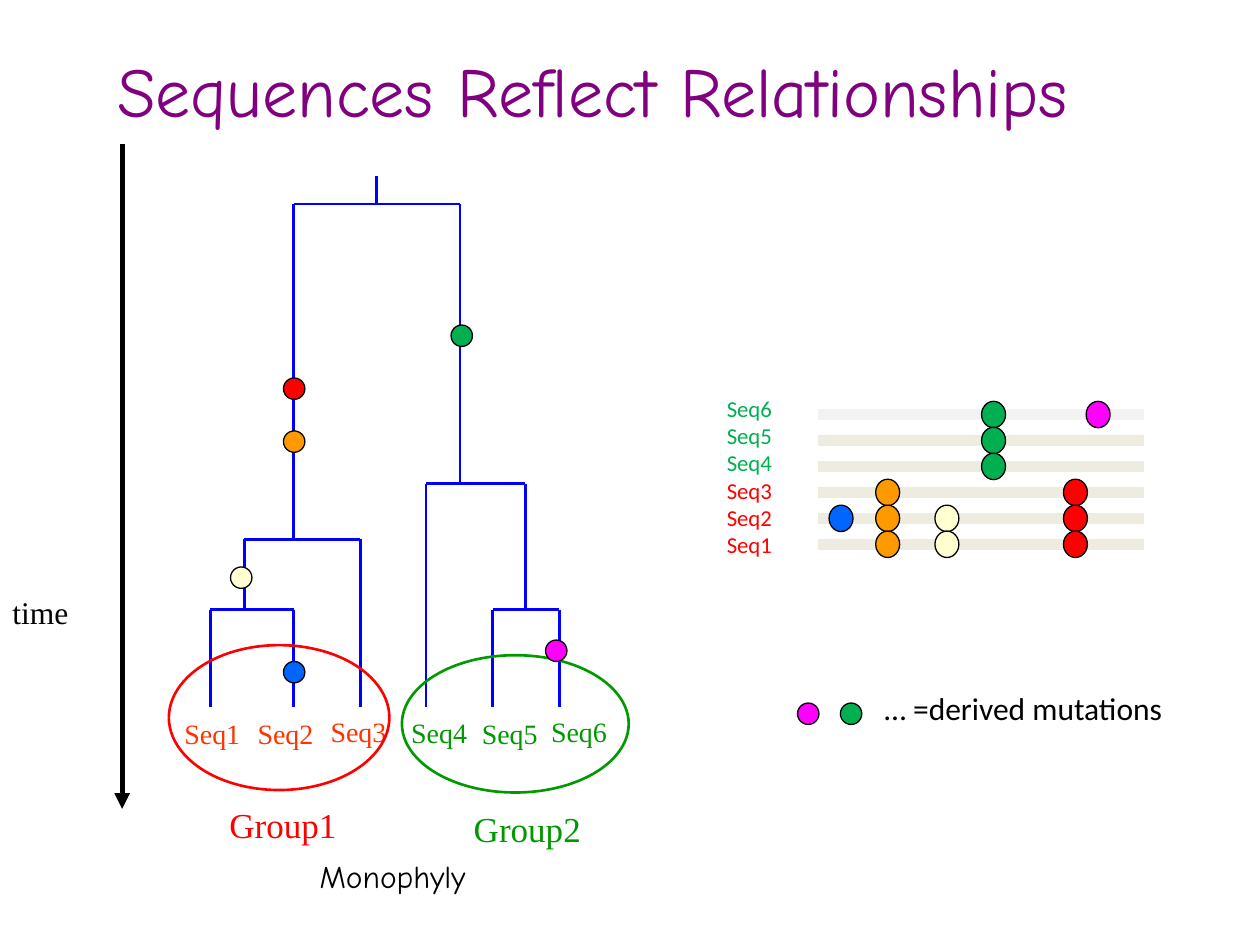
from lxml.etree import SubElement
from pptx import Presentation
from pptx.dml.color import RGBColor
from pptx.enum.shapes import MSO_CONNECTOR, MSO_SHAPE
from pptx.enum.text import MSO_ANCHOR, MSO_AUTO_SIZE, PP_ALIGN
from pptx.oxml.ns import qn
from pptx.util import Inches, Pt

THEME = {
    "color": {
        "title": "800080", "ink": "000000", "branch": "0000FF",
        "group1": "FF0000", "group2": "009900", "leaf1": "FF3300",
        "bar": "EEECE1", "top bar": "F2F2F2",
        "green": "00B050", "red": "FF0000", "cream": "FFFFD1",
        "blue": "0066FF", "orange": "FF9900", "magenta": "FF00FF",
    },
    "size": {"title": 40, "group": 20, "label": 18, "leaf": 16, "row": 13},
    "font": {"hand": "Comic Neue", "serif": "Times New Roman", "sans": "Calibri"},
}

# Tree: each fork is left x, right x, top y, left end y, right end y
LEAF_Y, PAIR_Y = 5.61, 4.84
ROOT = (2.99, 1.4, 1.62)
FORKS = [
    (2.33, 3.65, 1.62, 4.28, 3.84),
    (1.94, 2.86, 4.28, PAIR_Y, LEAF_Y),
    (3.38, 4.17, 3.84, LEAF_Y, PAIR_Y),
    (1.67, 2.33, PAIR_Y, LEAF_Y, LEAF_Y),
    (3.91, 4.44, PAIR_Y, LEAF_Y, LEAF_Y),
]
# Groups: name, colour, leaf colour, label position, ellipse box, leaves
GROUPS = [
    ("Group2", "group2", "leaf2", (3.66, 6.36), (3.19, 5.2, 1.8, 1.09),
     [("Seq4", 3.16, 5.63), ("Seq5", 3.72, 5.64), ("Seq6", 4.27, 5.62)]),
    ("Group1", "group1", "leaf1", (1.72, 6.33), (1.34, 5.12, 1.75, 1.15),
     [("Seq1", 1.36, 5.64), ("Seq2", 1.94, 5.64), ("Seq3", 2.52, 5.62)]),
]
THEME["color"]["leaf2"] = THEME["color"]["group2"]

# Mutations on the tree and in the legend: colour, left, top
MUTATIONS = [
    ("green", 3.58, 2.58), ("red", 2.25, 3), ("cream", 1.83, 4.5),
    ("blue", 2.25, 5.25), ("orange", 2.25, 3.42), ("magenta", 4.33, 5.08),
    ("magenta", 6.33, 5.58), ("green", 6.67, 5.58),
]
# Alignment: sequence, label colour, bar colour, mutations
ALIGNMENT = [
    ("Seq6", "green", "top bar", ["green", "magenta"]),
    ("Seq5", "green", "bar", ["green"]),
    ("Seq4", "green", "bar", ["green"]),
    ("Seq3", "red", "bar", ["orange", "red"]),
    ("Seq2", "red", "bar", ["blue", "orange", "cream", "red"]),
    ("Seq1", "red", "bar", ["orange", "cream", "red"]),
]
SITE_X = {"blue": 6.58, "orange": 6.95, "cream": 7.42,
          "green": 7.79, "red": 8.44, "magenta": 8.62}
BAR_LEFT, BAR_RIGHT, FIRST_BAR, BAR_STEP = 6.49, 9.08, 3.29, 0.206
SITE_W, SITE_H = 0.19, 0.21


def rgb(name):
    return RGBColor.from_string(THEME["color"][name])


def write(shape, lines, size, font, align=PP_ALIGN.LEFT):
    """Fill a shape with one paragraph per (text, colour) pair."""
    frame = shape.text_frame
    settings = {"word_wrap": False, "auto_size": MSO_AUTO_SIZE.NONE,
                "vertical_anchor": MSO_ANCHOR.TOP}
    for name, value in settings.items():
        setattr(frame, name, value)
    for index, (text, color) in enumerate(lines):
        paragraph = frame.add_paragraph() if index else frame.paragraphs[0]
        paragraph.alignment = align
        run = paragraph.add_run()
        run.text = text
        run.font.size = Pt(THEME["size"][size])
        run.font.name = THEME["font"][font]
        run.font.color.rgb = rgb(color)


def add_text(slide, box, lines, *style):
    write(slide.shapes.add_textbox(*map(Inches, box)), lines, *style)


def add_line(slide, start, end, color, width, arrow=False):
    line = slide.shapes.add_connector(
        MSO_CONNECTOR.STRAIGHT, *map(Inches, (*start, *end)))
    line.line.color.rgb = rgb(color)
    line.line.width = Pt(width)
    if arrow:
        SubElement(line.line._get_or_add_ln(), qn("a:tailEnd"), type="triangle")
    SubElement(line._element.spPr, qn("a:effectLst"))


def add_ellipse(slide, box, fill=None, outline="ink", width=0.75):
    shape = slide.shapes.add_shape(MSO_SHAPE.OVAL, *map(Inches, box))
    shape.shadow.inherit = False
    if fill:
        shape.fill.solid()
        shape.fill.fore_color.rgb = rgb(fill)
    else:
        shape.fill.background()
    shape.line.color.rgb = rgb(outline)
    shape.line.width = Pt(width)


def add_tree(slide):
    x, top, bottom = ROOT
    add_line(slide, (x, top), (x, bottom), "branch", 1.5)
    for left, right, top, left_end, right_end in FORKS:
        for start, end in [((left, top), (right, top)),
                           ((left, top), (left, left_end)),
                           ((right, top), (right, right_end))]:
            add_line(slide, start, end, "branch", 1.5)
    for name, color, leaf_color, label, ellipse, leaves in GROUPS:
        for leaf, x, y in leaves:
            add_text(slide, (x, y, 0.65, 0.37), [(leaf, leaf_color)],
                     "leaf", "serif", PP_ALIGN.CENTER)
        add_ellipse(slide, ellipse, outline=color, width=1.5)
        add_text(slide, (*label, 1.05, 0.43), [(name, color)],
                 "group", "serif", PP_ALIGN.CENTER)


def add_alignment(slide):
    for row, (_, _, bar, sites) in enumerate(ALIGNMENT):
        y = FIRST_BAR + row * BAR_STEP
        add_line(slide, (BAR_LEFT, y), (BAR_RIGHT, y), bar, 6)
        for site in sites:
            add_ellipse(slide, (SITE_X[site], y - SITE_H / 2, SITE_W, SITE_H), site)
    add_text(slide, (5.67, 3.08, 0.57, 1.41),
             [(name, color) for name, color, _, _ in ALIGNMENT], "row", "sans")


def main():
    presentation = Presentation()
    presentation.slide_width, presentation.slide_height = Inches(10), Inches(7.5)
    slide = presentation.slides.add_slide(presentation.slide_layouts[5])

    title = slide.shapes.title
    title.left, title.top, title.width, title.height = map(
        Inches, (0.83, 0.33, 8.6, 0.77))
    write(title, [("Sequences Reflect Relationships", "title")], "title", "hand")

    add_text(slide, (0, 4.66, 0.79, 0.5), [("time", "ink")], "label", "serif")
    add_line(slide, (0.97, 1.14), (0.97, 6.42), "ink", 3, arrow=True)
    add_tree(slide)
    add_text(slide, (2.2, 6.75, 1.83, 0.5), [("Monophyly", "ink")],
             "label", "hand", PP_ALIGN.CENTER)
    for color, left, top in MUTATIONS:
        add_ellipse(slide, (left, top, 0.17, 0.17), color)
    add_alignment(slide)
    add_text(slide, (6.92, 5.42, 2.43, 0.4), [("… =derived mutations", "ink")],
             "label", "sans")
    presentation.save("out.pptx")


if __name__ == "__main__":
    main()
